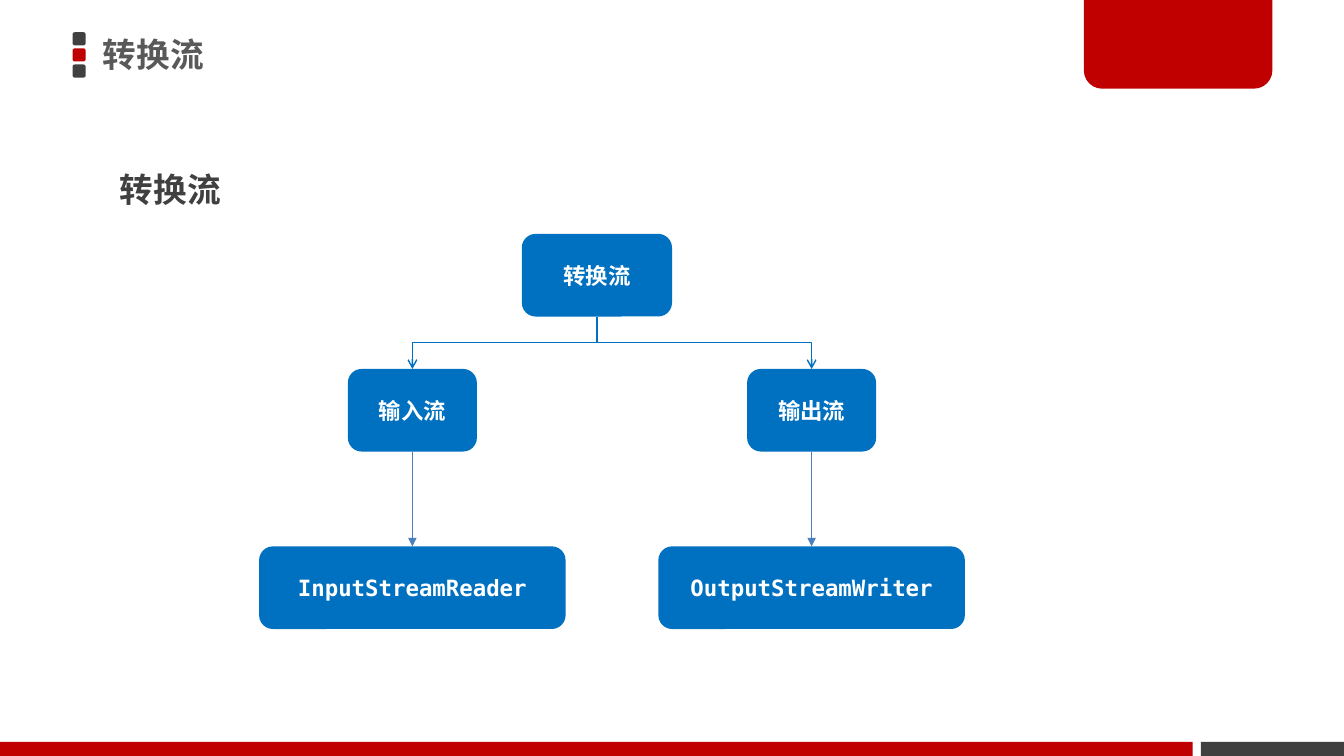
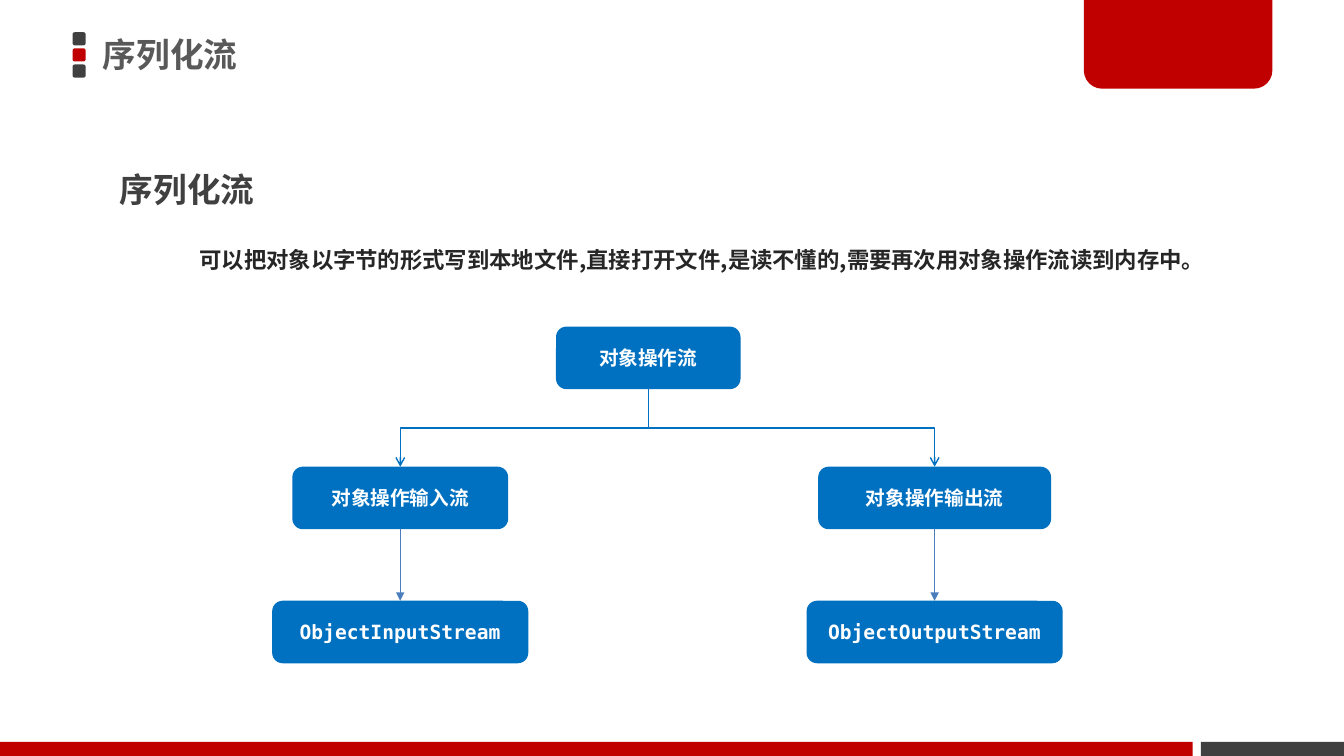
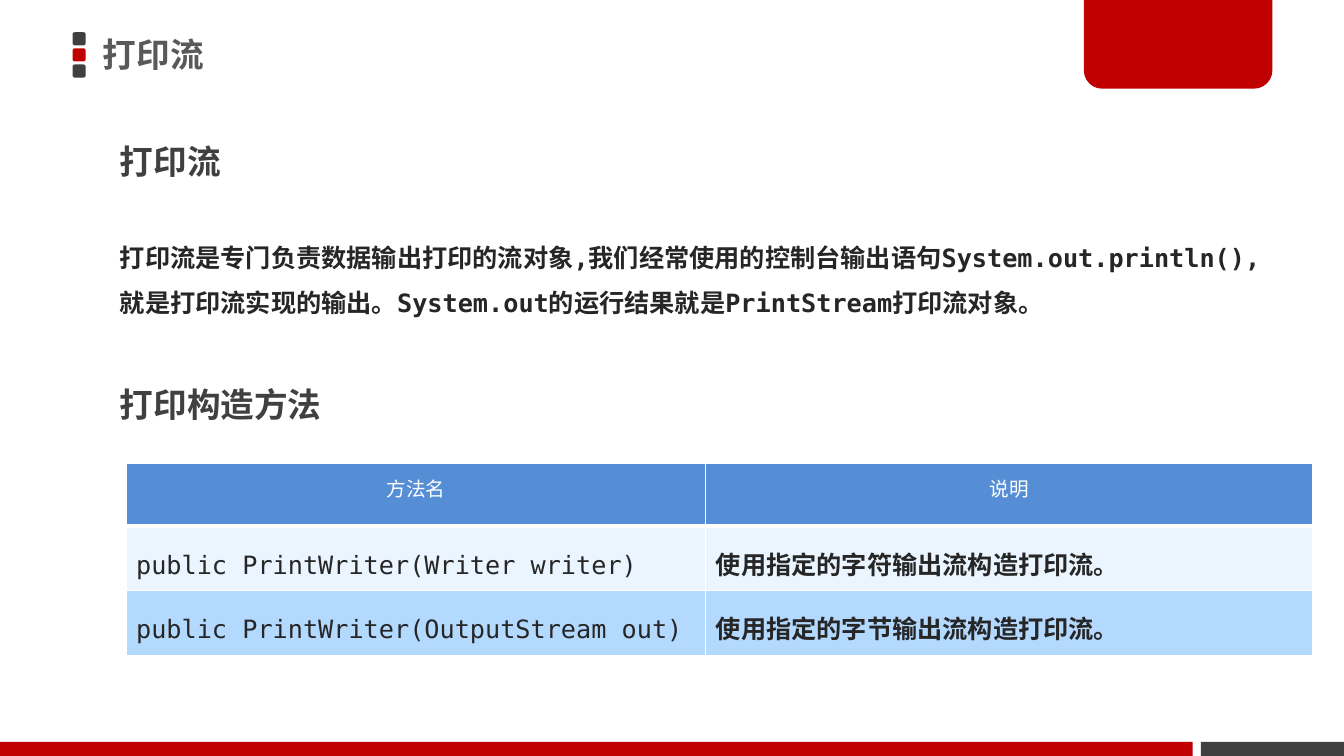
from dataclasses import dataclass

from lxml.etree import SubElement
from pptx import Presentation
from pptx.dml.color import RGBColor
from pptx.enum.dml import MSO_LINE
from pptx.enum.shapes import MSO_CONNECTOR as Connector, MSO_SHAPE as Preset
from pptx.enum.text import MSO_ANCHOR as Anchor, MSO_AUTO_SIZE as AutoSize, PP_ALIGN as Align
from pptx.oxml.ns import qn
from pptx.util import Inches, Length, Pt

# Colours and fonts
RED = RGBColor(0xC0, 0x00, 0x00)
DARK = RGBColor(0x40, 0x40, 0x40)
TITLE_GREY = RGBColor(0x59, 0x59, 0x59)
BODY = RGBColor(0x26, 0x26, 0x26)
WHITE = RGBColor(0xFF, 0xFF, 0xFF)
BLUE = RGBColor(0x00, 0x70, 0xC0)
ARROW_BLUE = RGBColor(0x4B, 0x7E, 0xBC)
HEADER_BLUE = RGBColor(0x55, 0x8E, 0xD5)
ROW_FILLS = (RGBColor(0xEB, 0xF5, 0xFF), RGBColor(0xB3, 0xD9, 0xFF))
SANS = "Noto Sans CJK JP"
SANS_SC = "Noto Sans CJK SC"
MONO = "DejaVu Sans Mono"


@dataclass(frozen=True)
class Box:
    text: str
    center: float
    top: float
    width: float


@dataclass(frozen=True)
class Branch:
    category: Box
    class_box: Box


@dataclass(frozen=True)
class Tree:
    root: Box
    branches: tuple[Branch, ...]
    box_height: float
    size: int


# Text
def write_text(frame, text: str, *, size: int, color: RGBColor, font: str = SANS,
               bold: bool = True, align: Align = Align.LEFT,
               spacing: float | Length = 1.0) -> None:
    frame.word_wrap = True
    paragraph = frame.paragraphs[0]
    paragraph.alignment = align
    paragraph.line_spacing = spacing
    run = paragraph.add_run()
    run.text = text
    run.font.name = font
    run.font.size = Pt(size)
    run.font.bold = bold
    run.font.color.rgb = color
    properties = run.font._element
    SubElement(properties, qn("a:ea")).set("typeface", font)


def add_text(slide, text: str, left: float, top: float, width: float, height: float,
             **text_format) -> None:
    text_box = slide.shapes.add_textbox(
        Inches(left), Inches(top), Inches(width), Inches(height))
    write_text(text_box.text_frame, text, spacing=1.5, **text_format)
    text_box.text_frame.auto_size = AutoSize.SHAPE_TO_FIT_TEXT


def add_heading(slide, text: str, top: float) -> None:
    add_text(slide, text, 1.09, top, 10.35, 0.65, size=24, color=DARK)


# Shapes and the frame of every slide
def add_filled(slide, preset: Preset, left: float, top: float, width: float,
               height: float, color: RGBColor):
    shape = slide.shapes.add_shape(
        preset, Inches(left), Inches(top), Inches(width), Inches(height))
    shape.shadow.inherit = False
    shape.fill.solid()
    shape.fill.fore_color.rgb = color
    shape.line.fill.background()
    return shape


def add_titled_slide(presentation, title: str):
    slide = presentation.slides.add_slide(presentation.slide_layouts[5])
    for index, color in enumerate((DARK, RED, DARK)):
        add_filled(slide, Preset.ROUNDED_RECTANGLE, 0.72, 0.32 + 0.16 * index, 0.13, 0.13, color)
    add_filled(slide, Preset.RECTANGLE, 11.91, 7.36, 1.42, 0.14, DARK)
    tab = add_filled(slide, Preset.ROUND_2_SAME_RECTANGLE, 10.75, -0.03, 1.87, 0.91, RED)
    tab.adjustments[0] = 0
    tab.adjustments[1] = 0.2
    add_filled(slide, Preset.RECTANGLE, 0, 7.36, 11.83, 0.14, RED)

    placeholder = slide.shapes.title
    placeholder.left, placeholder.top = Inches(0.92), Inches(-0.03)
    placeholder.width, placeholder.height = Inches(7.85), Inches(1.18)
    frame = placeholder.text_frame
    frame.auto_size = AutoSize.NONE
    frame.vertical_anchor = Anchor.MIDDLE
    write_text(frame, title, size=24, color=TITLE_GREY, spacing=0.9)
    return slide


# Tree diagrams
def add_box(slide, box: Box, tree: Tree):
    shape = add_filled(slide, Preset.ROUNDED_RECTANGLE, box.center - box.width / 2, box.top,
                       box.width, tree.box_height, BLUE)
    shape.text_frame.vertical_anchor = Anchor.MIDDLE
    write_text(shape.text_frame, box.text, size=tree.size, color=WHITE, font=MONO,
               align=Align.CENTER)
    return shape


def add_arrow(slide, kind: Connector, parent, child, color: RGBColor, weight: float, head: str):
    """Link the bottom of the parent to the top of the child."""
    connector = slide.shapes.add_connector(
        kind, parent.left + parent.width // 2, parent.top + parent.height,
        child.left + child.width // 2, child.top)
    connector.begin_connect(parent, 2)
    connector.end_connect(child, 0)
    connector.line.color.rgb = color
    connector.line.width = Pt(weight)
    connector.line.dash_style = MSO_LINE.SOLID
    properties = connector.element.spPr
    SubElement(properties.find(qn("a:ln")), qn("a:tailEnd")).set("type", head)
    SubElement(properties, qn("a:effectLst"))
    return connector


def add_elbow(slide, parent, child) -> None:
    connector = add_arrow(slide, Connector.ELBOW, parent, child, BLUE, 1, "arrow")
    # A quarter turn makes the elbow leave and arrive vertically
    to_left = connector.end_x < connector.begin_x
    run, drop = connector.width, connector.height
    shift = (run - drop) // 2
    connector.left, connector.top = connector.left + shift, connector.top - shift
    connector.width, connector.height = drop, run
    transform = connector.element.spPr.find(qn("a:xfrm"))
    transform.set("rot", str((90 if to_left else 270) * 60000))
    transform.set("flipH", "0" if to_left else "1")


def add_tree(slide, tree: Tree) -> None:
    root = add_box(slide, tree.root, tree)
    for branch in tree.branches:
        category = add_box(slide, branch.category, tree)
        class_box = add_box(slide, branch.class_box, tree)
        add_elbow(slide, root, category)
        add_arrow(slide, Connector.STRAIGHT, category, class_box, ARROW_BLUE, 0.75, "triangle")


# Table
def set_borders(cell, **weights: float) -> None:
    properties = cell._tc.get_or_add_tcPr()
    for index, (side, weight) in enumerate(weights.items()):
        line = properties.makeelement(qn(f"a:ln{side}"), {"w": str(Pt(weight))})
        fill = SubElement(line, qn("a:solidFill"))
        SubElement(fill, qn("a:srgbClr")).set("val", str(WHITE))
        properties.insert(index, line)


def add_method_table(slide, rows: tuple[tuple[str, str], ...]) -> None:
    widths, heights = (5.75, 6.02), (0.62, 0.64, 0.64)
    table = slide.shapes.add_table(
        len(rows), len(widths), Inches(1.25), Inches(4.6),
        Inches(sum(widths)), Inches(sum(heights))).table
    for column, width in zip(table.columns, widths):
        column.width = Inches(width)
    for row_index, texts in enumerate(rows):
        table.rows[row_index].height = Inches(heights[row_index])
        is_header = row_index == 0
        for column_index, text in enumerate(texts):
            cell = table.cell(row_index, column_index)
            cell.fill.solid()
            if is_header:
                cell.fill.fore_color.rgb = HEADER_BLUE
                write_text(cell.text_frame, text, size=14, color=WHITE, font=SANS_SC,
                           bold=False, align=Align.CENTER, spacing=Pt(24))
            else:
                cell.fill.fore_color.rgb = ROW_FILLS[row_index - 1]
                cell.vertical_anchor = Anchor.MIDDLE
                write_text(cell.text_frame, text, size=18, color=BODY, font=MONO,
                           bold=column_index == 1, spacing=1.5)
            set_borders(cell, L=1, R=1, T=3 if row_index == 1 else 1, B=3 if is_header else 1)


# Content
CONVERSION_TREE = Tree(
    Box("转换流", 5.92, 2.32, 1.49),
    (Branch(Box("输入流", 4.09, 3.66, 1.28), Box("InputStreamReader", 4.09, 5.42, 3.04)),
     Branch(Box("输出流", 8.05, 3.66, 1.28), Box("OutputStreamWriter", 8.05, 5.42, 3.04))),
    box_height=0.82, size=16)
OBJECT_TREE = Tree(
    Box("对象操作流", 6.43, 3.24, 1.83),
    (Branch(Box("对象操作输入流", 3.97, 4.63, 2.14), Box("ObjectInputStream", 3.97, 5.96, 2.54)),
     Branch(Box("对象操作输出流", 9.27, 4.63, 2.31), Box("ObjectOutputStream", 9.27, 5.96, 2.54))),
    box_height=0.62, size=14)
CONSTRUCTORS = (
    ("方法名", "说明"),
    ("public PrintWriter(Writer writer)", "使用指定的字符输出流构造打印流。"),
    ("public PrintWriter(OutputStream out)", "使用指定的字节输出流构造打印流。"),
)


def main() -> None:
    presentation = Presentation()
    presentation.slide_width, presentation.slide_height = Inches(13.33), Inches(7.5)

    # Conversion streams
    slide = add_titled_slide(presentation, "转换流")
    add_heading(slide, "转换流", 1.43)
    add_tree(slide, CONVERSION_TREE)

    # Serialization streams
    slide = add_titled_slide(presentation, "序列化流")
    add_heading(slide, "序列化流", 1.43)
    add_text(slide, "可以把对象以字节的形式写到本地文件,直接打开文件,是读不懂的,"
             "需要再次用对象操作流读到内存中。", 1.88, 2.26, 10.73, 0.47, size=16, color=BODY)
    add_tree(slide, OBJECT_TREE)

    # Print streams
    slide = add_titled_slide(presentation, "打印流")
    add_heading(slide, "打印流", 1.15)
    add_text(slide, "打印流是专门负责数据输出打印的流对象,我们经常使用的控制台输出语句"
             "System.out.println(),就是打印流实现的输出。System.out的运行结果就是"
             "PrintStream打印流对象。", 1.09, 2.2, 11.71, 0.97, size=18, color=BODY, font=MONO)
    add_heading(slide, "打印构造方法", 3.56)
    add_method_table(slide, CONSTRUCTORS)

    presentation.save("out.pptx")


main()
